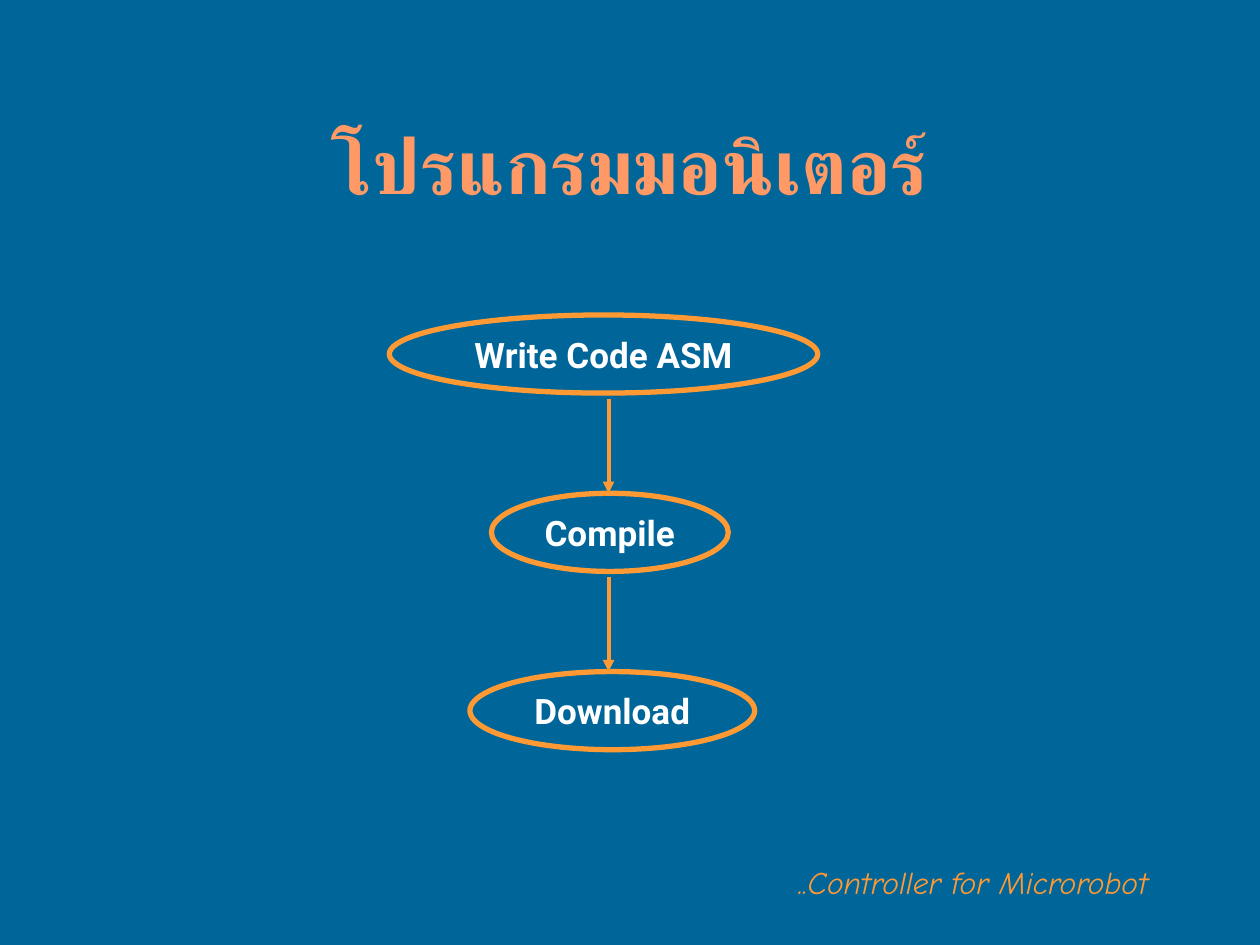
import pptx
import pptx.dml.color
import pptx.enum.shapes
import pptx.enum.text
import pptx.oxml
import pptx.oxml.ns
import pptx.util

WIDTH, HEIGHT = 10, 7.5
ORANGE = "FF9933"
STEPS = [("Write Code ASM", 4.79, 3.4), ("Compile", 4.84, 1.88), ("Download", 4.86, 2.26)]
STEP_HEIGHT = 0.62
ARROW_X, ARROW_LENGTH = 4.83, 0.75


def color(value):
    return pptx.dml.color.RGBColor.from_string(value)


def inches(*lengths):
    return [pptx.util.Inches(length) for length in lengths]


def write(shape, text, size, name, fill, alignment, wrap=False, bold=None, italic=None):
    frame = shape.text_frame
    frame.text = text
    frame.word_wrap = wrap
    paragraph = frame.paragraphs[0]
    paragraph.alignment = alignment
    font = paragraph.font
    font.size = pptx.util.Pt(size)
    font.name = name
    font.bold = bold
    font.italic = italic
    font.color.rgb = color(fill)
    return frame


def add_label(slide, box, text, size, name, fill, alignment, anchor, **style):
    shape = slide.shapes.add_textbox(*inches(*box))
    frame = write(shape, text, size, name, fill, alignment, **style)
    frame.vertical_anchor = anchor


def add_step(slide, box, text):
    ellipse = slide.shapes.add_shape(pptx.enum.shapes.MSO_SHAPE.OVAL, *inches(*box))
    ellipse.shadow.inherit = False
    ellipse.fill.background()
    ellipse.line.color.rgb = color(ORANGE)
    ellipse.line.width = pptx.util.Pt(3)
    frame = write(ellipse, text, 20, "Roboto", "FFFFFF",
                  pptx.enum.text.PP_ALIGN.CENTER, bold=True)
    frame.vertical_anchor = pptx.enum.text.MSO_ANCHOR.MIDDLE


def add_arrow(slide, x, top, bottom):
    arrow = slide.shapes.add_connector(
        pptx.enum.shapes.MSO_CONNECTOR.STRAIGHT, *inches(x, top, x, bottom))
    arrow.line.color.rgb = color(ORANGE)
    arrow.line.width = pptx.util.Pt(2.25)
    tail = pptx.oxml.parse_xml(
        f'<a:tailEnd {pptx.oxml.ns.nsdecls("a")} type="triangle"/>')
    arrow.line._get_or_add_ln().append(tail)
    effects = pptx.oxml.parse_xml(f'<a:effectLst {pptx.oxml.ns.nsdecls("a")}/>')
    arrow._element.spPr.append(effects)


def add_flow(slide, top, height):
    pitch = (height - STEP_HEIGHT) / (len(STEPS) - 1)
    for row, (text, center, width) in enumerate(STEPS):
        step_top = top + row * pitch
        add_step(slide, (center - width / 2, step_top, width, STEP_HEIGHT), text)
        if row:
            add_arrow(slide, ARROW_X, step_top - ARROW_LENGTH, step_top)


def main():
    presentation = pptx.Presentation()
    presentation.slide_width, presentation.slide_height = inches(WIDTH, HEIGHT)
    slide = presentation.slides.add_slide(presentation.slide_layouts[6])
    slide.background.fill.solid()
    slide.background.fill.fore_color.rgb = color("006699")
    add_flow(slide, HEIGHT / 3, 3.45)
    add_label(slide, (0.75, 0.67, WIDTH - 1.5, HEIGHT / 6), "โปรแกรมมอนิเตอร์", 44,
              "Roboto", "FF9966", pptx.enum.text.PP_ALIGN.CENTER,
              pptx.enum.text.MSO_ANCHOR.MIDDLE, wrap=True, bold=True)
    add_label(slide, (6.24, 6.8, 3.01, 0.4), "..Controller for Microrobot", 18,
              "Comic Neue", ORANGE, pptx.enum.text.PP_ALIGN.LEFT,
              pptx.enum.text.MSO_ANCHOR.TOP, italic=True)
    presentation.save("out.pptx")


if __name__ == "__main__":
    main()
